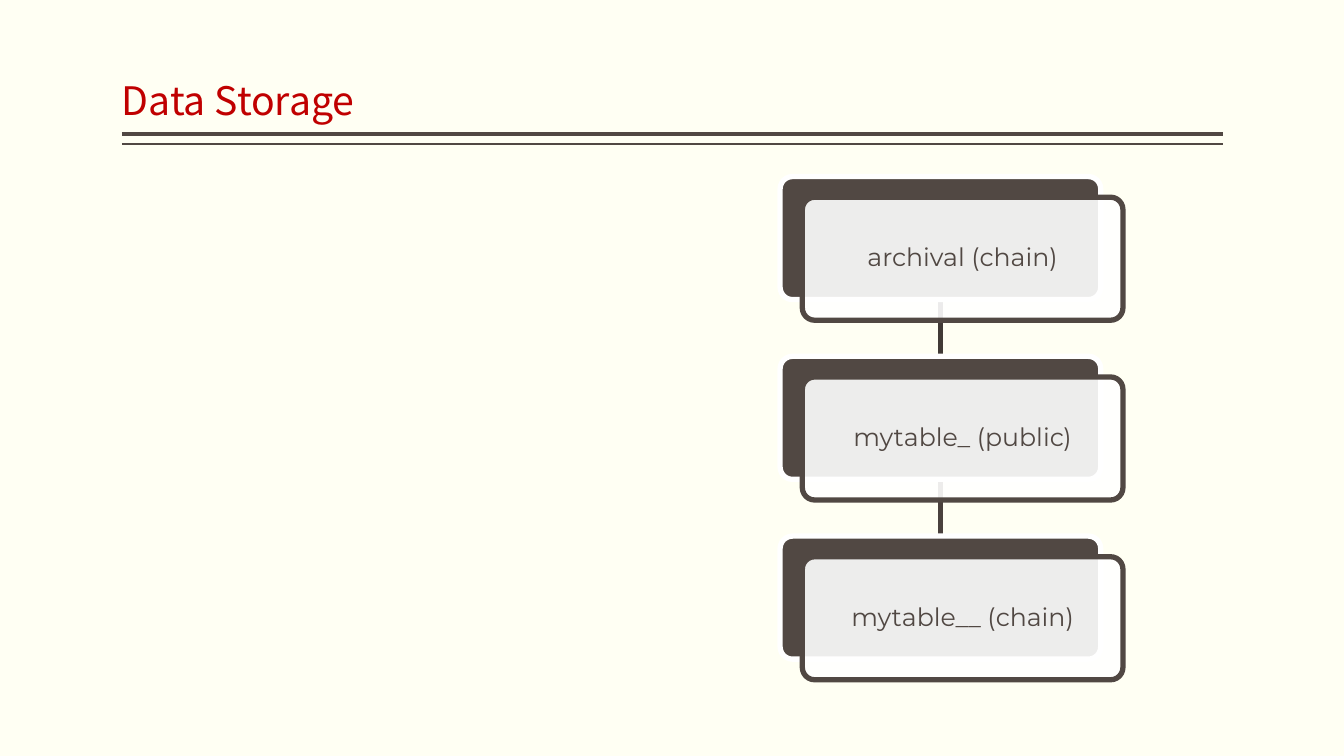
from lxml import etree
from pptx import Presentation
from pptx.dml.color import RGBColor
from pptx.enum.shapes import MSO_CONNECTOR, MSO_SHAPE
from pptx.enum.text import MSO_ANCHOR, PP_ALIGN
from pptx.oxml.ns import qn
from pptx.util import Cm, Pt

STRAIGHT = MSO_CONNECTOR.STRAIGHT
ROUNDED = MSO_SHAPE.ROUNDED_RECTANGLE
MIDDLE, BOTTOM = MSO_ANCHOR.MIDDLE, MSO_ANCHOR.BOTTOM
LEFT, CENTER = PP_ALIGN.LEFT, PP_ALIGN.CENTER

# Content
TITLE = "Data Storage"
TABLES = ["archival (chain)", "mytable_ (public)", "mytable__ (chain)"]
LINK_COLORS = ["413A36", "4A413D"]
BROWN, WHITE, RED, CREAM = "514843", "FFFFFF", "C00000", "FFFFF3"

# Layout in centimetres
RULE_LEFT, RULE_RIGHT = 3.07, 30.81
RULES = [(3.38, 3), (3.63, 1)]
CARD_LEFT, CARD_TOP, CARD_WIDTH, CARD_HEIGHT = 19.66, 4.45, 8.08, 3.1
CARD_PITCH = 4.53
FRONT_SHIFT_X, FRONT_SHIFT_Y = 0.56, 0.52
CARD_LINE = 3.78


def color(hex_code):
    return RGBColor.from_string(hex_code)


def add_line(x1, y1, x2, y2, hex_code, width):
    line = page.shapes.add_connector(STRAIGHT, Cm(x1), Cm(y1), Cm(x2), Cm(y2))
    line.line.color.rgb = color(hex_code)
    line.line.width = Pt(width)
    etree.SubElement(line._element.spPr, qn("a:effectLst"))
    return line


def add_card(left, top, fill, outline):
    card = page.shapes.add_shape(ROUNDED, Cm(left), Cm(top), Cm(CARD_WIDTH), Cm(CARD_HEIGHT))
    card.shadow.inherit = False
    card.adjustments[0] = 0.1
    card.fill.solid()
    card.fill.fore_color.rgb = color(fill)
    card.line.color.rgb = color(outline)
    card.line.width = Pt(CARD_LINE)
    return card


def write(box, text, size, font, hex_code, align, anchor, side, edge):
    frame = box.text_frame
    frame.word_wrap = True
    frame.vertical_anchor = anchor
    frame.margin_left = frame.margin_right = Cm(side)
    frame.margin_top = frame.margin_bottom = Cm(edge)
    para = frame.paragraphs[0]
    para.text = text
    para.alignment = align
    para.line_spacing = 0.9
    para.font.size = Pt(size)
    para.font.name = font
    para.font.color.rgb = color(hex_code)


deck = Presentation()
deck.slide_width, deck.slide_height = Cm(33.87), Cm(19.05)
page = deck.slides.add_slide(deck.slide_layouts[6])
page.background.fill.solid()
page.background.fill.fore_color.rgb = color(CREAM)

# Title and double rule
for y, width in RULES:
    add_line(RULE_LEFT, y, RULE_RIGHT, y, BROWN, width)
title = page.shapes.add_textbox(Cm(RULE_LEFT), Cm(0.2), Cm(RULE_RIGHT - RULE_LEFT), Cm(3.05))
write(title, TITLE, 28, "Noto Sans CJK SC", RED, LEFT, BOTTOM, 0, 0.13)

# Links lie behind the cards
tops = [CARD_TOP + CARD_PITCH * i for i in range(len(TABLES))]
middle = CARD_LEFT + CARD_WIDTH / 2
links = [add_line(middle, top + CARD_HEIGHT, middle, top + CARD_PITCH, hex_code, CARD_LINE)
         for top, hex_code in zip(tops, LINK_COLORS)]

# Stacked cards
back_cards = []
for name, top in zip(TABLES, tops):
    back_cards.append(add_card(CARD_LEFT, top, BROWN, WHITE))
    front = add_card(CARD_LEFT + FRONT_SHIFT_X, top + FRONT_SHIFT_Y, WHITE, BROWN)
    fill_color = front._element.spPr.find(qn("a:solidFill"))[0]
    etree.SubElement(fill_color, qn("a:alpha"), val="90000")
    write(front, name, 18, "Montserrat", BROWN, CENTER, MIDDLE, 0.25, 0.25)

# Join the links to the cards
for link, upper, lower in zip(links, back_cards, back_cards[1:]):
    link.begin_connect(upper, 2)
    link.end_connect(lower, 0)

deck.save("out.pptx")
